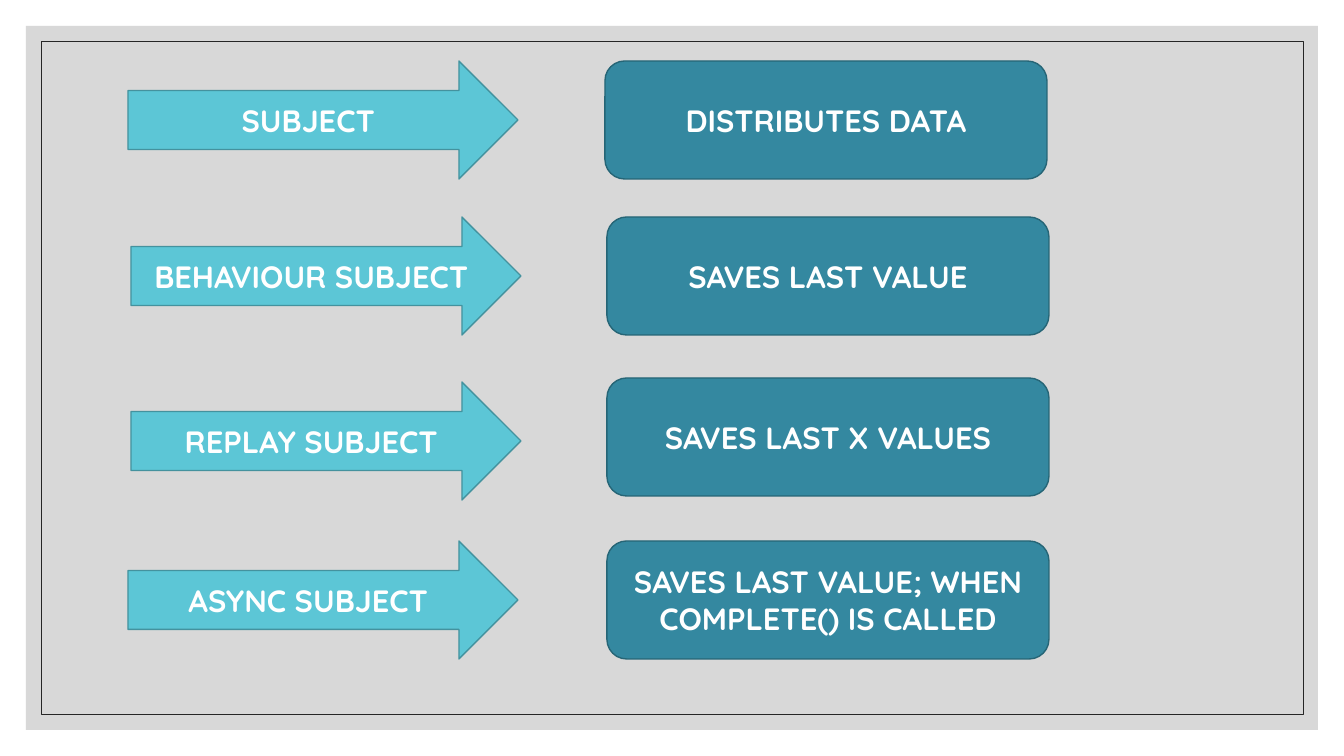
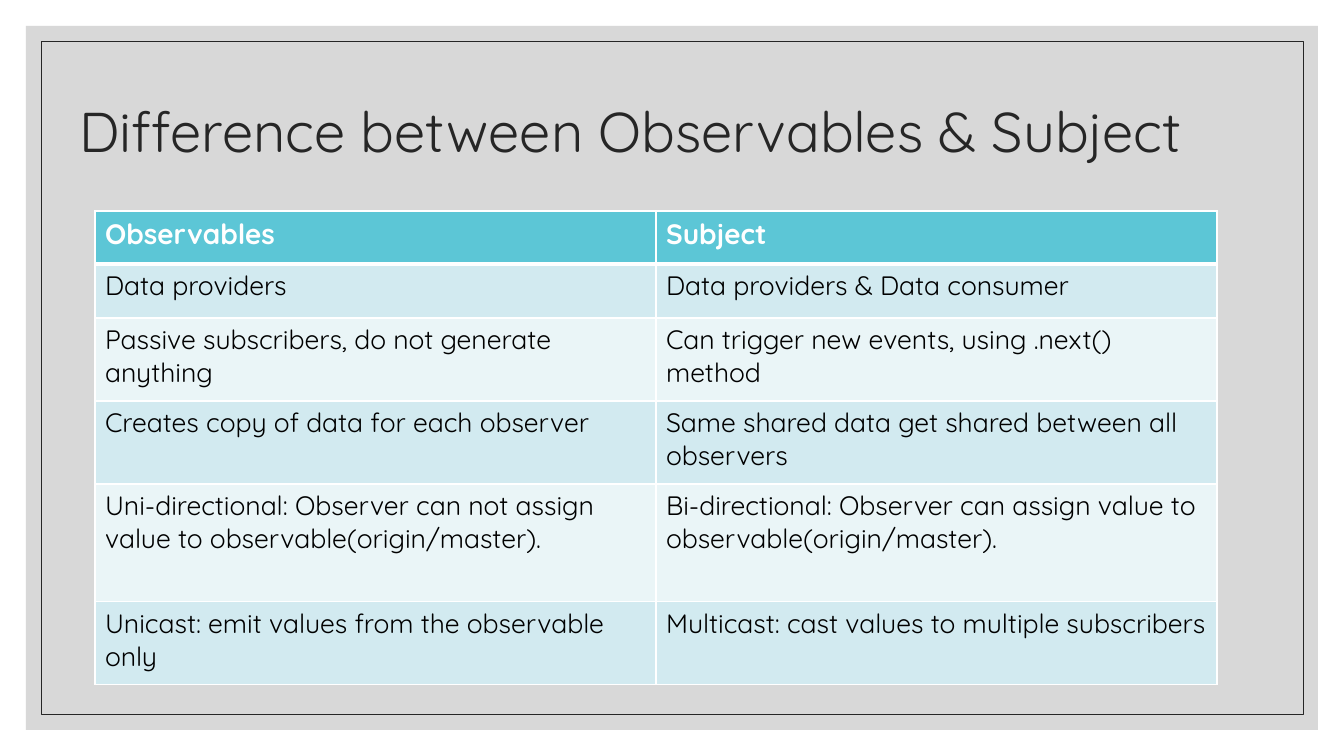
from lxml import etree
from pptx import Presentation
from pptx.dml.color import RGBColor
from pptx.enum.shapes import MSO_SHAPE
from pptx.enum.text import MSO_ANCHOR, PP_ALIGN
from pptx.oxml.ns import qn
from pptx.util import Pt

RECT = MSO_SHAPE.RECTANGLE
ARROW = MSO_SHAPE.RIGHT_ARROW
ROUNDED = MSO_SHAPE.ROUNDED_RECTANGLE
MIDDLE = MSO_ANCHOR.MIDDLE
LEFT, CENTER = PP_ALIGN.LEFT, PP_ALIGN.CENTER

FONT = "Quicksand"
COLORS = {
    "panel": "BFBFBF", "ink": "262626", "white": "FFFFFF", "black": "000000",
    "aqua": "5CC6D6", "aqua_line": "44929E",
    "teal": "3488A0", "teal_line": "266576",
    "band_dark": "D2EAF0", "band_light": "EAF5F7",
}
PX = 12192000 / 1344


def add_block(slide, kind, box, fill=None, line=None, width=1, text=""):
    """Add a preset shape at a pixel box, with optional fill, line and label."""
    block = slide.shapes.add_shape(kind, *(round(v * PX) for v in box))
    block.shadow.inherit = False
    for part, color in ((block.fill, fill), (block.line.fill, line)):
        if color:
            part.solid()
            part.fore_color.rgb = RGBColor.from_string(COLORS[color])
        else:
            part.background()
    if line:
        block.line.width = Pt(width)
    if text:
        block.text_frame.word_wrap = True
        block.text_frame.vertical_anchor = MIDDLE
        block.text_frame.text = text
        style_text(block.text_frame.paragraphs[0], 22, "white", True, CENTER)
    return block


def style_text(paragraph, size, color, bold=False, align=LEFT):
    """Set the font and alignment of a whole paragraph."""
    paragraph.alignment = align
    paragraph.font.name = FONT
    paragraph.font.size = Pt(size)
    paragraph.font.bold = bold
    paragraph.font.color.rgb = RGBColor.from_string(COLORS[color])


prs = Presentation()
prs.slide_width, prs.slide_height = round(1344 * PX), round(756 * PX)
subjects = prs.slides.add_slide(prs.slide_layouts[6])
comparison = prs.slides.add_slide(prs.slide_layouts[5])

# Shared frame: drawn once, then moved to the back of the master
panel = add_block(subjects, RECT, (26, 26, 1292, 704), fill="panel")
panel_color = panel.element.spPr.find(qn("a:solidFill"))[0]
etree.SubElement(panel_color, qn("a:alpha")).set("val", "60000")
frame = add_block(subjects, RECT, (41, 41, 1262, 673), line="ink", width=0.5)
master_title = prs.slide_master.placeholders[0].element
for number, backdrop in enumerate((panel, frame), start=101):
    backdrop.element.nvSpPr.cNvPr.set("id", str(number))
    master_title.addprevious(backdrop.element)

# Slide 1: each kind of subject points to what it does
# (subject, arrow left, arrow top, behaviour, box left, box top)
SUBJECTS = [
    ("SUBJECT", 128, 61, "DISTRIBUTES DATA", 605, 61),
    ("BEHAVIOUR SUBJECT", 131, 217, "SAVES LAST VALUE", 607, 217),
    ("REPLAY SUBJECT", 131, 382, "SAVES LAST X VALUES", 607, 378),
    ("ASYNC SUBJECT", 128, 541,
     "SAVES LAST VALUE; WHEN COMPLETE() IS CALLED", 607, 541),
]
for subject, arrow_x, arrow_y, behaviour, box_x, box_y in SUBJECTS:
    add_block(subjects, ARROW, (arrow_x, arrow_y, 390, 118),
              "aqua", "aqua_line", text=subject)
    add_block(subjects, ROUNDED, (box_x, box_y, 442, 118),
              "teal", "teal_line", text=behaviour)

# Slide 2: title and comparison table
title = comparison.shapes.title
title.left, title.top, title.width, title.height = (
    round(v * PX) for v in (69, 59, 1208, 151))
title.text_frame.text = "Difference between Observables & Subject"
title.text_frame.vertical_anchor = MIDDLE
title.text_frame.paragraphs[0].line_spacing = 0.9
style_text(title.text_frame.paragraphs[0], 40, "ink")

# (row height, observables, subject)
DIFFERENCES = [
    (53, "Observables", "Subject"),
    (54, "Data providers", "Data providers & Data consumer"),
    (83, "Passive subscribers, do not generate anything",
     "Can trigger new events, using .next() method"),
    (83, "Creates copy of data for each observer",
     "Same shared data get shared between all observers"),
    (118, "Uni-directional: Observer can not assign value to "
     "observable(origin/master).",
     "Bi-directional: Observer can assign value to "
     "observable(origin/master)."),
    (83, "Unicast: emit values from the observable only",
     "Multicast: cast values to multiple subscribers"),
]
table_height = sum(height for height, *_ in DIFFERENCES)
table = comparison.shapes.add_table(
    len(DIFFERENCES), 2,
    *(round(v * PX) for v in (95, 211, 1122, table_height))).table
for column in table.columns:
    column.width = round(561 * PX)

for r, (height, *texts) in enumerate(DIFFERENCES):
    table.rows[r].height = round(height * PX)
    header = r == 0
    fill = "aqua" if header else ("band_light", "band_dark")[r % 2]
    for c, text in enumerate(texts):
        cell = table.cell(r, c)
        cell.text = text
        cell.fill.solid()
        cell.fill.fore_color.rgb = RGBColor.from_string(COLORS[fill])
        style_text(cell.text_frame.paragraphs[0], 20 if header else 19,
                   "white" if header else "black", header)
        properties = cell._tc.get_or_add_tcPr()
        for i, side in enumerate(("lnL", "lnR", "lnT", "lnB")):
            under_header = (r, side) in ((0, "lnB"), (1, "lnT"))
            border = etree.Element(qn(f"a:{side}"))
            border.set("w", str(Pt(3 if under_header else 1)))
            border_fill = etree.SubElement(border, qn("a:solidFill"))
            etree.SubElement(border_fill, qn("a:srgbClr")).set(
                "val", COLORS["white"])
            properties.insert(i, border)

prs.save("out.pptx")
